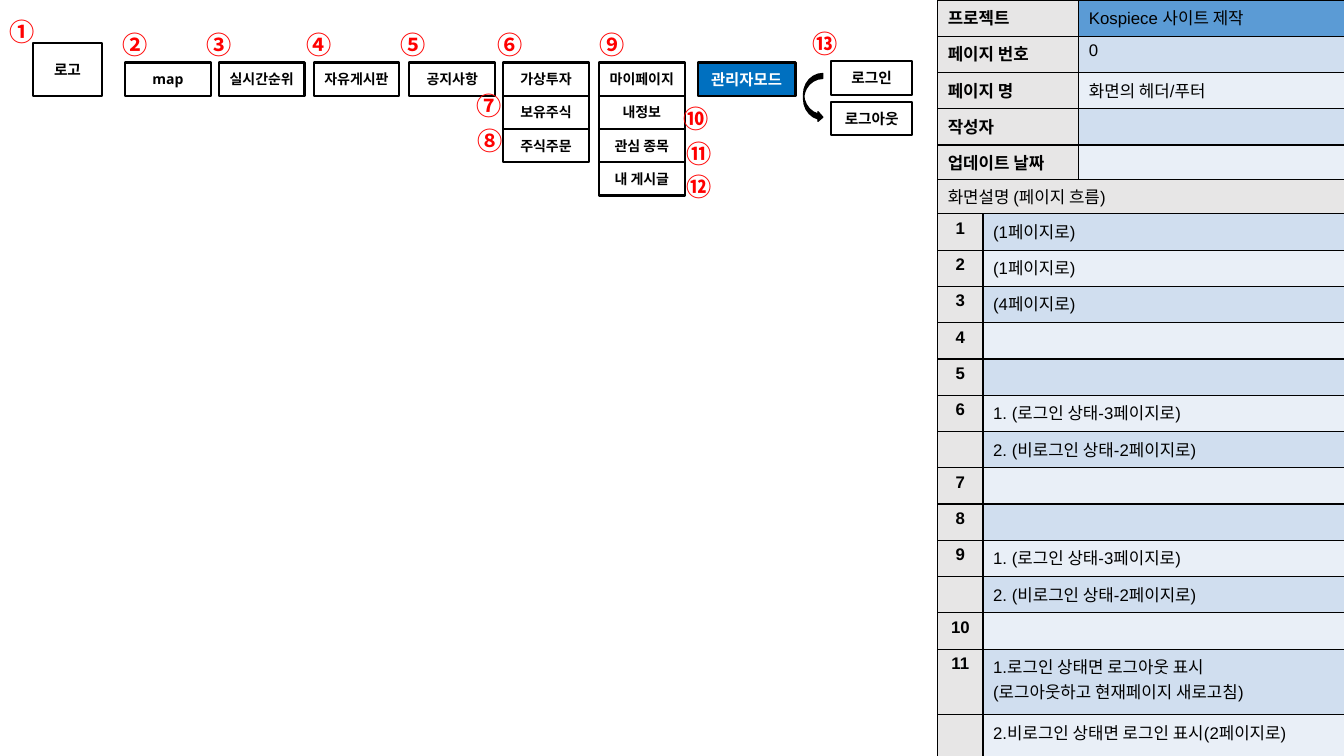
from dataclasses import dataclass

from lxml.etree import SubElement
from pptx import Presentation
from pptx.dml.color import RGBColor
from pptx.enum.shapes import MSO_SHAPE
from pptx.enum.text import MSO_ANCHOR, PP_ALIGN
from pptx.oxml.ns import qn
from pptx.util import Inches, Pt


@dataclass(frozen=True)
class Theme:
    black: str = "000000"
    white: str = "FFFFFF"
    marker: str = "FF0000"
    admin: str = "0070C0"
    label: str = "E7E6E6"
    project: str = "5B9BD5"
    bands: tuple = ("D0DEEF", "E9EFF7")
    menu_font: str = "Open Sans"
    table_font: str = "Arial"
    korean_font: str = "Noto Sans CJK KR"
    menu_size: float = 10
    account_size: float = 10.5
    admin_size: float = 11
    table_size: float = 12
    marker_size: float = 18


THEME = Theme()

PROJECT_ROWS = [
    ("프로젝트", "Kospiece 사이트 제작"),
    ("페이지 번호", "0"),
    ("페이지 명", "화면의 헤더/푸터"),
    ("작성자", ""),
    ("업데이트 날짜", ""),
]
FLOW_TITLE = "화면설명 (페이지 흐름)"
LOGGED_IN, LOGGED_OUT = "1. (로그인 상태-3페이지로)", "2. (비로그인 상태-2페이지로)"
FLOW_ROWS = [
    ("1", "(1페이지로)"),
    ("2", "(1페이지로)"),
    ("3", "(4페이지로)"),
    ("4", ""),
    ("5", ""),
    ("6", LOGGED_IN),
    ("", LOGGED_OUT),
    ("7", ""),
    ("8", ""),
    ("9", LOGGED_IN),
    ("", LOGGED_OUT),
    ("10", ""),
    ("11", "1.로그인 상태면 로그아웃 표시\n(로그아웃하고 현재페이지 새로고침)"),
    ("", "2.비로그인 상태면 로그인 표시(2페이지로)"),
]
# Each menu column: left edge and its entries from top to bottom
MENUS = [
    (1.24, ["map"]),
    (2.17, ["실시간순위"]),
    (3.11, ["자유게시판"]),
    (4.06, ["공지사항"]),
    (4.99, ["가상투자", "보유주식", "주식주문"]),
    (5.94, ["마이페이지", "내정보", "관심 종목", "내 게시글"]),
]
# Left and top of each numbered marker
MARKERS = {
    "①": (0, 0.11), "②": (1.12, 0.24), "③": (1.95, 0.24), "④": (2.94, 0.24),
    "⑤": (3.87, 0.24), "⑥": (4.84, 0.24), "⑦": (4.63, 0.85), "⑧": (4.64, 1.19),
    "⑨": (5.85, 0.24), "⑩": (6.68, 0.98), "⑪": (6.71, 1.32), "⑫": (6.71, 1.65),
    "⑬": (7.96, 0.23),
}
CENTERED_MARKERS = "⑩⑪⑫⑬"
MENU_TOP, MENU_WIDTH, MENU_HEIGHT = 0.62, 0.85, 0.33
ACCOUNT_LEFT, ACCOUNT_WIDTH = 8.24, 0.81
TABLE_LEFT, ROW_HEIGHT = 9.3, 0.36


def color(value):
    return RGBColor.from_string(value)


def write(frame, text, font_name, size, text_color, bold, align):
    frame.text = text
    for paragraph in frame.paragraphs:
        paragraph.alignment = align
        font = paragraph.font
        font.name, font.size, font.bold = font_name, Pt(size), bold
        font.color.rgb = color(text_color)
        properties = paragraph._p.pPr.find(qn("a:defRPr"))
        SubElement(properties, qn("a:ea")).set("typeface", THEME.korean_font)


def add_box(slide, text, left, top, width, height=MENU_HEIGHT,
            size=THEME.menu_size, fill=None, text_color=THEME.black):
    shape = slide.shapes.add_shape(MSO_SHAPE.RECTANGLE, Inches(left), Inches(top),
                                   Inches(width), Inches(height))
    shape.shadow.inherit = False
    if fill:
        shape.fill.solid()
        shape.fill.fore_color.rgb = color(fill)
    else:
        shape.fill.background()
    shape.line.color.rgb = color(THEME.black)
    shape.line.width = Pt(1.5)
    frame = shape.text_frame
    frame.word_wrap = True
    frame.vertical_anchor = MSO_ANCHOR.MIDDLE
    frame.margin_left = frame.margin_right = 0
    frame.margin_top = frame.margin_bottom = Inches(0.1)
    write(frame, text, THEME.menu_font, size, text_color, True, PP_ALIGN.CENTER)


def add_marker(slide, number, left, top):
    centered = number in CENTERED_MARKERS
    box = slide.shapes.add_textbox(Inches(left), Inches(top),
                                   Inches(0.36 if centered else 0.43), Inches(0.5))
    frame = box.text_frame
    frame.word_wrap = not centered
    write(frame, number, THEME.korean_font, THEME.marker_size, THEME.marker, True,
          PP_ALIGN.CENTER if centered else PP_ALIGN.LEFT)


def add_switch_arrow(slide):
    arrow = slide.shapes.add_shape(MSO_SHAPE.CURVED_RIGHT_ARROW, Inches(7.97),
                                   Inches(0.73), Inches(0.19), Inches(0.48))
    arrow.shadow.inherit = False
    arrow.fill.solid()
    arrow.fill.fore_color.rgb = color(THEME.black)
    arrow.line.color.rgb = color(THEME.black)
    arrow.line.width = Pt(1)


def fill_cell(cell, text, fill, bold=False, align=PP_ALIGN.LEFT):
    write(cell.text_frame, text, THEME.table_font, THEME.table_size,
          THEME.black, bold, align)
    properties = cell._tc.get_or_add_tcPr()
    for side in ("a:lnL", "a:lnR", "a:lnT", "a:lnB"):
        border = SubElement(properties, qn(side), w=str(Pt(1)))
        solid = SubElement(border, qn("a:solidFill"))
        SubElement(solid, qn("a:srgbClr"), val=THEME.black)
    cell.fill.solid()
    cell.fill.fore_color.rgb = color(fill)


def add_table(slide, top, widths, heights):
    table = slide.shapes.add_table(len(heights), len(widths), Inches(TABLE_LEFT),
                                   Inches(top), Inches(sum(widths)),
                                   Inches(sum(heights))).table
    table.first_row = table.horz_banding = False
    for column, width in zip(table.columns, widths):
        column.width = Inches(width)
    for row, height in zip(table.rows, heights):
        row.height = Inches(height)
    return table


def add_project_table(slide):
    table = add_table(slide, 0, [1.4, 2.64], [ROW_HEIGHT] * len(PROJECT_ROWS))
    for index, (label, value) in enumerate(PROJECT_ROWS):
        fill = THEME.bands[(index + 1) % 2] if index else THEME.project
        fill_cell(table.cell(index, 0), label, THEME.label, bold=True)
        fill_cell(table.cell(index, 1), value, fill)


def add_flow_table(slide):
    heights = [0.29] + [ROW_HEIGHT] * (len(FLOW_ROWS) - 2) + [0.65, 0.49]
    table = add_table(slide, 1.78, [0.45, 3.59], heights)
    for cell, text in zip(table.rows[0].cells, (FLOW_TITLE, "")):
        fill_cell(cell, text, THEME.label)
    table.cell(0, 0).merge(table.cell(0, 1))
    for index, (number, action) in enumerate(FLOW_ROWS):
        fill_cell(table.cell(index + 1, 0), number, THEME.label, True, PP_ALIGN.CENTER)
        fill_cell(table.cell(index + 1, 1), action, THEME.bands[index % 2])


def main():
    presentation = Presentation()
    presentation.slide_width, presentation.slide_height = Inches(13.33), Inches(7.5)
    slide = presentation.slides.add_slide(presentation.slide_layouts[6])
    add_project_table(slide)
    add_flow_table(slide)
    add_box(slide, "로고", 0.33, 0.43, 0.68, 0.52, THEME.account_size)
    for left, entries in MENUS:
        for level, entry in enumerate(entries):
            add_box(slide, entry, left, MENU_TOP + level * MENU_HEIGHT, MENU_WIDTH)
    add_box(slide, "관리자모드", 6.92, MENU_TOP, 0.97, size=THEME.admin_size,
            fill=THEME.admin, text_color=THEME.white)
    for level, entry in enumerate(["로그인", "로그아웃"]):
        add_box(slide, entry, ACCOUNT_LEFT, 0.61 + level * 0.4, ACCOUNT_WIDTH,
                size=THEME.account_size)
    add_switch_arrow(slide)
    for number, (left, top) in MARKERS.items():
        add_marker(slide, number, left, top)
    presentation.save("out.pptx")


if __name__ == "__main__":
    main()
